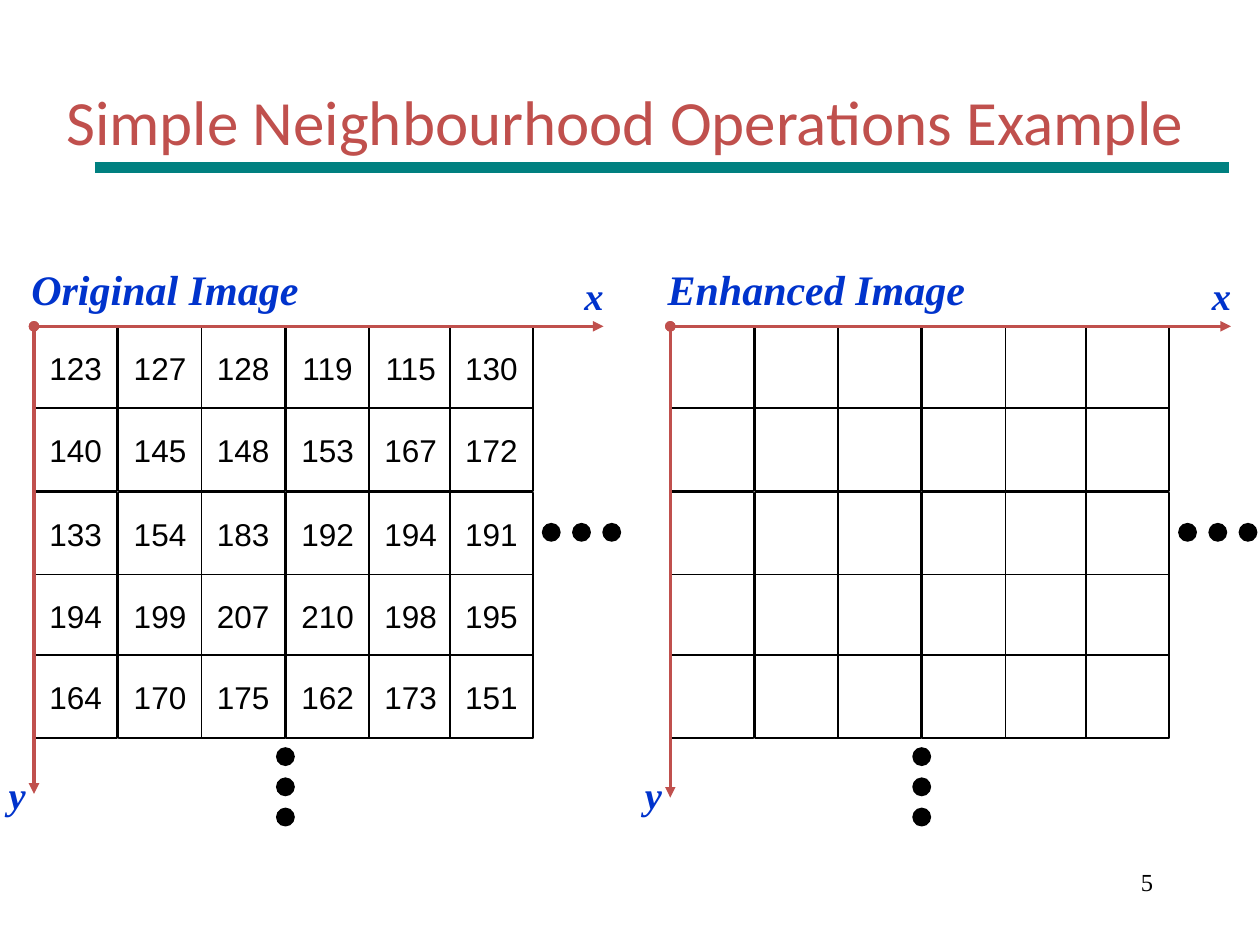
from dataclasses import dataclass

from lxml import etree
from pptx import Presentation
from pptx import util as u
from pptx.dml.color import RGBColor
from pptx.enum import shapes, text
from pptx.oxml import ns


@dataclass(frozen=True)
class Theme:
    accent: str = "C0504D"
    rule: str = "008080"
    label: str = "0033CC"
    ink: str = "000000"
    paper: str = "FFFFFF"
    title_font: str = "Calibri"
    serif_font: str = "Times New Roman"
    cell_font: str = "Arial"
    title_size: int = 36
    heading_size: int = 24
    axis_size: int = 22
    cell_size: int = 18
    number_size: int = 14
    cell_line: float = 1
    axis_line: float = 2
    rule_line: float = 6


COLUMN_OFFSETS = [0, 0.67, 1.33, 2, 2.66, 3.3]
ROW_OFFSETS = [0, 0.65, 1.32, 1.97, 2.61]
CELL_SIZE = 0.66
GRID_TOP = 2.59
DOT_SIZE = 0.15
DOT_PITCH = 0.24
ORIGINAL_PIXELS = [
    [123, 127, 128, 119, 115, 130],
    [140, 145, 148, 153, 167, 172],
    [133, 154, 183, 192, 194, 191],
    [194, 199, 207, 210, 198, 195],
    [164, 170, 175, 162, 173, 151],
]
ENHANCED_PIXELS = [[""] * len(COLUMN_OFFSETS) for _ in ROW_OFFSETS]


class SlideBuilder:
    def __init__(self, slide, theme):
        self.slide = slide
        self.theme = theme

    def set_text(self, shape, content, font, size, color, align, anchor, wrap, emphasis=False):
        frame = shape.text_frame
        frame.word_wrap = wrap
        frame.vertical_anchor = anchor
        frame.text = content
        paragraph = frame.paragraphs[0]
        paragraph.alignment = align
        for run in paragraph.runs:
            run.font.name = font
            run.font.size = u.Pt(size)
            run.font.bold = run.font.italic = emphasis
            run.font.color.rgb = RGBColor.from_string(color)

    def text_box(self, left, top, width, height, content, font, size, color,
                 align=text.PP_ALIGN.LEFT, anchor=text.MSO_ANCHOR.TOP, wrap=True, emphasis=False):
        box = self.slide.shapes.add_textbox(
            u.Inches(left), u.Inches(top), u.Inches(width), u.Inches(height))
        self.set_text(box, content, font, size, color, align, anchor, wrap, emphasis)

    def label(self, left, top, width, height, content, size):
        self.text_box(left, top, width, height, content, self.theme.serif_font, size,
                      self.theme.label, wrap=False, emphasis=True)

    def shape(self, kind, left, top, size, fill):
        shape = self.slide.shapes.add_shape(
            kind, u.Inches(left), u.Inches(top), u.Inches(size), u.Inches(size))
        shape.shadow.inherit = False
        shape.fill.solid()
        shape.fill.fore_color.rgb = RGBColor.from_string(fill)
        shape.line.fill.background()
        return shape

    def cell(self, left, top, value):
        theme = self.theme
        cell = self.shape(shapes.MSO_SHAPE.RECTANGLE, left, top, CELL_SIZE, theme.paper)
        cell.line.color.rgb = RGBColor.from_string(theme.ink)
        cell.line.width = u.Pt(theme.cell_line)
        if value:
            self.set_text(cell, str(value), theme.cell_font, theme.cell_size, theme.ink,
                          text.PP_ALIGN.CENTER, text.MSO_ANCHOR.MIDDLE, False)

    def line(self, start, end, color, width, arrow=False):
        connector = self.slide.shapes.add_connector(
            shapes.MSO_CONNECTOR.STRAIGHT, *(u.Inches(value) for value in (*start, *end)))
        connector.line.color.rgb = RGBColor.from_string(color)
        connector.line.width = u.Pt(width)
        properties = connector.element.spPr
        if arrow:
            outline = properties.find(ns.qn("a:ln"))
            etree.SubElement(outline, ns.qn("a:headEnd"), type="oval")
            etree.SubElement(outline, ns.qn("a:tailEnd"), type="triangle")
        etree.SubElement(properties, ns.qn("a:effectLst"))

    def dots(self, left, top, step_x, step_y):
        for index in range(3):
            self.shape(shapes.MSO_SHAPE.OVAL, left + index * step_x, top + index * step_y,
                       DOT_SIZE, self.theme.ink)

    def pixel_grid(self, left, heading, heading_width, pixels, x_end, y_end):
        theme = self.theme
        for row_offset, row in zip(ROW_OFFSETS, pixels):
            for column_offset, value in zip(COLUMN_OFFSETS, row):
                self.cell(left + column_offset, GRID_TOP + row_offset, value)
        origin = (left, GRID_TOP)
        for end in ((x_end, GRID_TOP), (left, y_end)):
            self.line(origin, end, theme.accent, theme.axis_line, arrow=True)
        self.label(left - 0.12, 2.04, heading_width, 0.5, heading, theme.heading_size)
        self.label(x_end - 0.25, 2.11, 0.35, 0.47, "x", theme.axis_size)
        self.label(left - 0.3, 6.07, 0.34, 0.47, "y", theme.axis_size)
        self.dots(left + 4.03, 4.15, DOT_PITCH, 0)
        self.dots(left + 1.92, 5.93, 0, DOT_PITCH)


def main():
    presentation = Presentation()
    presentation.slide_width = u.Inches(10)
    presentation.slide_height = u.Inches(7.5)
    slide = presentation.slides.add_slide(presentation.slide_layouts[6])
    theme = Theme()
    builder = SlideBuilder(slide, theme)

    builder.text_box(7.17, 6.83, 2.08, 0.5, "5", theme.serif_font, theme.number_size,
                     theme.ink, align=text.PP_ALIGN.RIGHT)
    builder.text_box(0.25, 0.33, 9.42, 1.25, "Simple Neighbourhood Operations Example",
                     theme.title_font, theme.title_size, theme.accent,
                     align=text.PP_ALIGN.CENTER, anchor=text.MSO_ANCHOR.MIDDLE)
    builder.pixel_grid(0.27, "Original Image", 2.32, ORIGINAL_PIXELS, 4.79, 6.3)
    builder.pixel_grid(5.32, "Enhanced Image", 2.56, ENHANCED_PIXELS, 9.77, 6.33)
    builder.line((0.75, 1.33), (9.75, 1.33), theme.rule, theme.rule_line)

    presentation.save("out.pptx")


if __name__ == "__main__":
    main()
